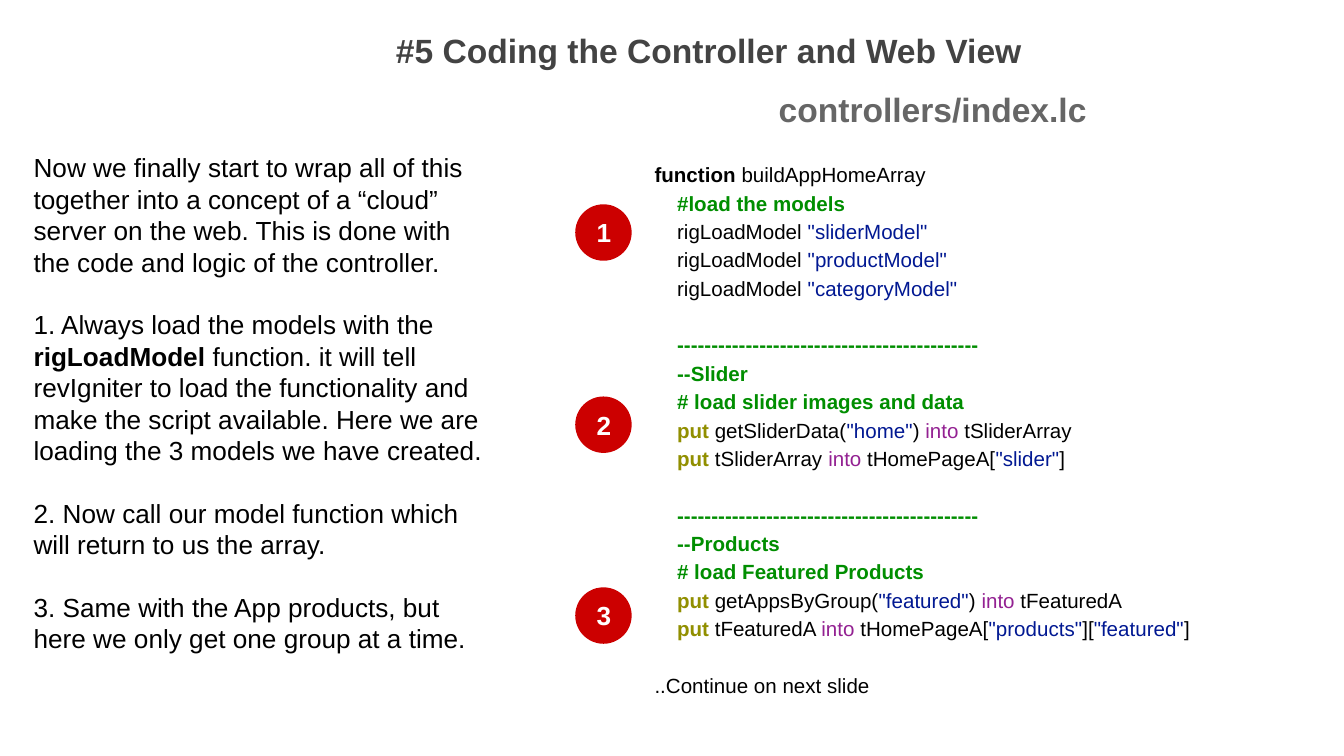
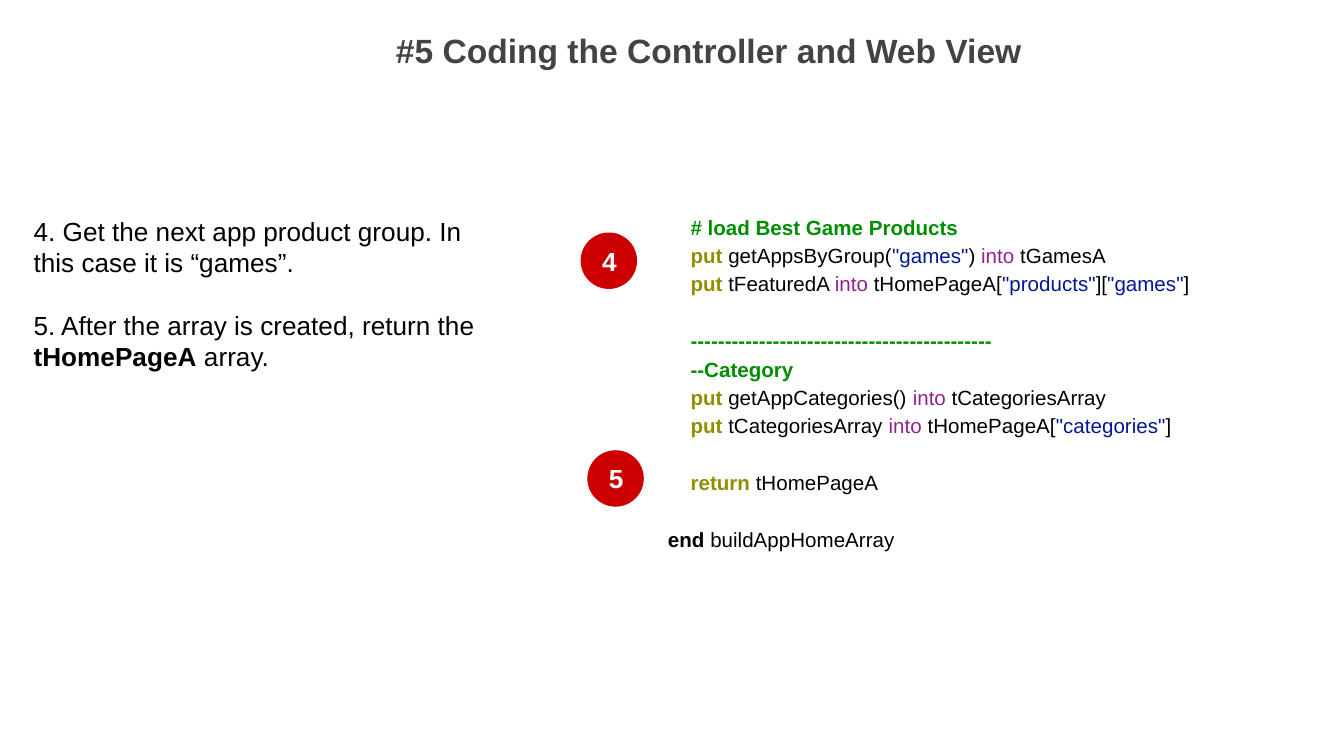
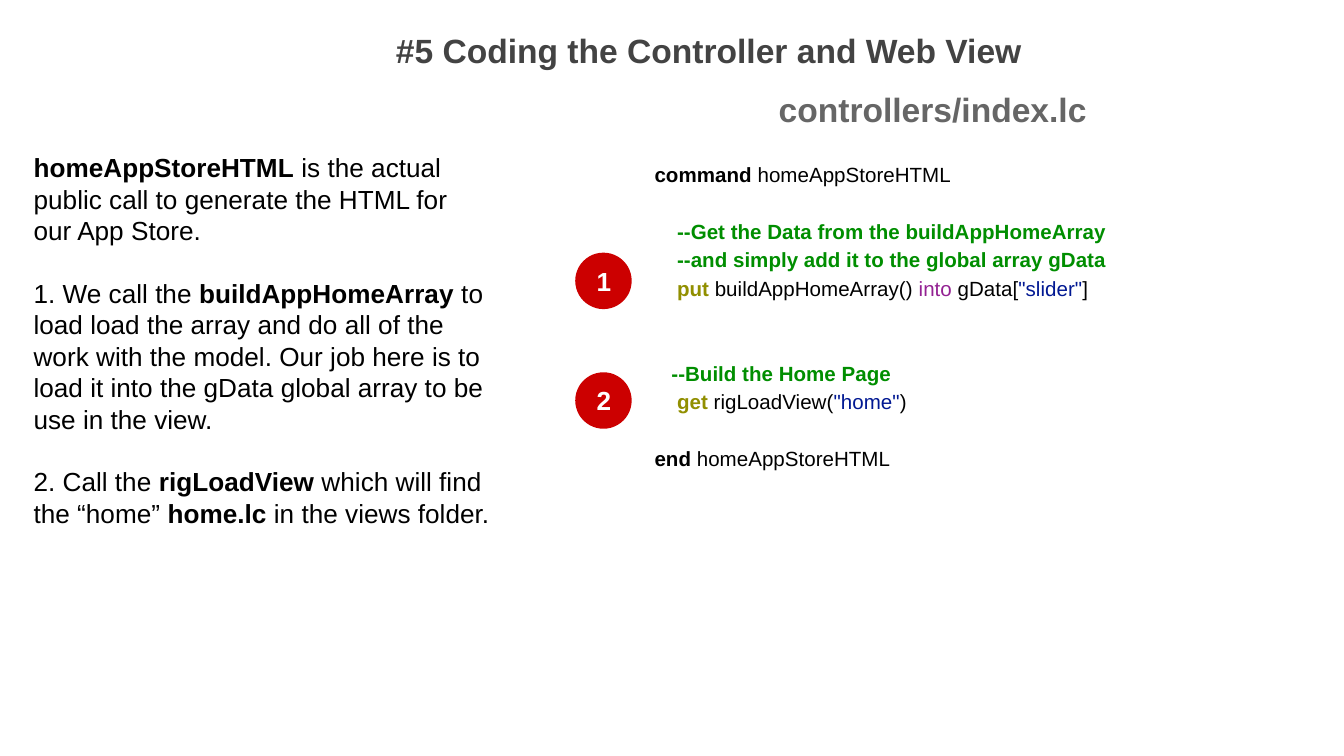
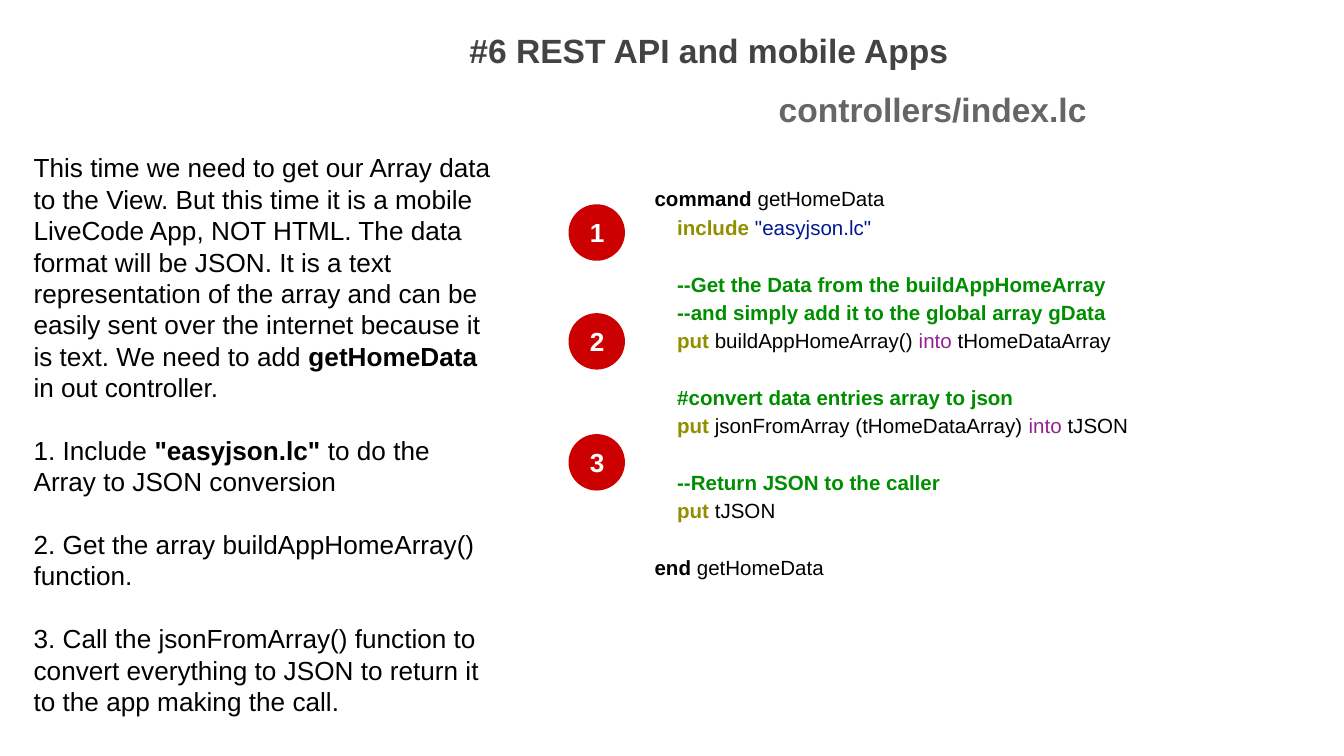
from pptx import Presentation
from pptx.dml.color import RGBColor
from pptx.enum.shapes import MSO_SHAPE
from pptx.enum.text import MSO_ANCHOR, MSO_AUTO_SIZE, PP_ALIGN
from pptx.oxml.ns import qn
from pptx.util import Inches, Pt

BLACK = RGBColor(0x00, 0x00, 0x00)
WHITE = RGBColor(0xFF, 0xFF, 0xFF)
DARK_GRAY = RGBColor(0x43, 0x43, 0x43)
GRAY = RGBColor(0x66, 0x66, 0x66)
RED = RGBColor(0xCC, 0x00, 0x00)
GREEN = RGBColor(0x00, 0x8E, 0x00)
BLUE = RGBColor(0x01, 0x18, 0x92)
OLIVE = RGBColor(0x91, 0x8F, 0x00)
PURPLE = RGBColor(0x93, 0x21, 0x92)

FONT = "Arial"
TITLE_SIZE, PROSE_SIZE, CODE_SIZE = 18, 14, 11
PROSE_LINE, CODE_LINE = 16.8, 15.18  # line heights in points
SPACE = 0.042                        # width of one code space in inches
BADGE = 0.42
PATH_LABEL = "controllers/index.lc"
KEYWORDS = {word: (BLACK, True) for word in ("function", "command", "end")}
KEYWORDS |= {word: (OLIVE, True) for word in ("put", "get", "return", "include")}

CODING_TITLE = "#5 Coding the Controller and Web View"
RULE = "-" * 44

# Content: ** marks bold prose, code is coloured by its own syntax
SLIDES = [
    {
        "title": CODING_TITLE, "path_label": True,
        "prose_lead": 0, "code_left": 4.77, "code_lead": 0,
        "badges": [("1", 4.28, 1.52), ("2", 4.28, 2.95), ("3", 4.28, 4.37)],
        "prose": [
            "Now we finally start to wrap all of this together into a concept of a “cloud” "
            "server on the web. This is done with the code and logic of the controller.",
            "1. Always load the models with the **rigLoadModel** function. it will tell "
            "revIgniter to load the functionality and make the script available. Here we are "
            "loading the 3 models we have created.",
            "2. Now call our model function which will return to us the array.",
            "3. Same with the App products, but here we only get one group at a time.",
        ],
        "code": f"""function buildAppHomeArray
    #load the models
    rigLoadModel "sliderModel"
    rigLoadModel "productModel"
    rigLoadModel "categoryModel"

    {RULE}
    --Slider
    # load slider images and data
    put getSliderData("home") into tSliderArray
    put tSliderArray into tHomePageA["slider"]

    {RULE}
    --Products
    # load Featured Products
    put getAppsByGroup("featured") into tFeaturedA
    put tFeaturedA into tHomePageA["products"]["featured"]

..Continue on next slide""",
    },
    {
        "title": CODING_TITLE, "path_label": False,
        "prose_lead": 0.47, "code_left": 4.87, "code_lead": 0.39,
        "badges": [("4", 4.32, 1.73), ("5", 4.37, 3.35)],
        "prose": [
            "4. Get the next app product group. In this case it is “games”.",
            "5. After the array is created, return the **tHomePageA** array.",
        ],
        "code": f"""    # load Best Game Products
    put getAppsByGroup("games") into tGamesA
    put tFeaturedA into tHomePageA["products"]["games"]

    {RULE}
    --Category
    put getAppCategories() into tCategoriesArray
    put tCategoriesArray into tHomePageA["categories"]

    return tHomePageA

end buildAppHomeArray""",
    },
    {
        "title": CODING_TITLE, "path_label": True,
        "prose_lead": 0, "code_left": 4.77, "code_lead": 0,
        "badges": [("1", 4.28, 1.88), ("2", 4.28, 2.77)],
        "prose": [
            "**homeAppStoreHTML** is the actual public call to generate the HTML for our "
            "App Store.",
            "1. We call the **buildAppHomeArray** to load load the array and do all of the "
            "work with the model. Our job here is to load it into the gData global array to "
            "be use in the view.",
            "2. Call the **rigLoadView** which will find the “home” **home.lc** in the views "
            "folder.",
        ],
        "code": """command homeAppStoreHTML

    --Get the Data from the buildAppHomeArray
    --and simply add it to the global array gData
    put buildAppHomeArray() into gData["slider"]


   --Build the Home Page
    get rigLoadView("home")

end homeAppStoreHTML""",
    },
    {
        "title": "#6 REST API and mobile Apps", "path_label": True,
        "prose_lead": 0, "code_left": 4.77, "code_lead": 0.18,
        "badges": [("1", 4.23, 1.52), ("2", 4.23, 2.33), ("3", 4.23, 3.23)],
        "prose": [
            "This time we need to get our Array data to the View. But this time it is a mobile "
            "LiveCode App, NOT HTML. The data format will be JSON. It is a text representation "
            "of the array and can be easily sent over the internet because it is text. We need "
            "to add **getHomeData** in out controller.",
            '1. Include **"easyjson.lc"** to do the Array to JSON conversion',
            "2. Get the array buildAppHomeArray() function.",
            "3. Call the jsonFromArray() function to convert everything to JSON to return it "
            "to the app making the call.",
        ],
        "code": """command getHomeData
    include "easyjson.lc"

    --Get the Data from the buildAppHomeArray
    --and simply add it to the global array gData
    put buildAppHomeArray() into tHomeDataArray

    #convert data entries array to json
    put jsonFromArray (tHomeDataArray) into tJSON

    --Return JSON to the caller
    put tJSON

end getHomeData""",
    },
]


def code_runs(line):
    """Split a code line into (text, colour, bold) runs."""
    if line.startswith(("#", "--")):
        return [(line, GREEN, True)]
    first, gap, rest = line.partition(" ")
    runs = [(first, *KEYWORDS.get(first, (BLACK, False)))]
    for i, part in enumerate((gap + rest).split('"')):
        if i % 2:
            runs.append((f'"{part}"', BLUE, False))
        else:
            before, word, after = part.partition("into")
            runs += [(before, BLACK, False), (word, PURPLE, False), (after, BLACK, False)]
    return [run for run in runs if run[0]]


def add_paragraph(tf, first, runs, size, line, before=0, indent=0, align=PP_ALIGN.LEFT):
    p = tf.paragraphs[0] if first else tf.add_paragraph()
    fmt = {"alignment": align, "line_spacing": Pt(line), "space_before": Pt(before),
           "space_after": Pt(0)}
    for name, value in fmt.items():
        setattr(p, name, value)
    pPr = p._p.get_or_add_pPr()
    pPr.set("marL", str(Inches(indent)))
    pPr.set("indent", "0")
    pPr.append(pPr.makeelement(qn("a:buNone"), {}))
    for text, color, bold in runs:
        r = p.add_run()
        r.text = text
        for name, value in {"name": FONT, "size": Pt(size), "bold": bold}.items():
            setattr(r.font, name, value)
        r.font.color.rgb = color


prs = Presentation()
prs.slide_width = Inches(10)
prs.slide_height = prs.slide_width * 9 // 16
layout = prs.slide_layouts[3]  # title and two content areas

for content in SLIDES:
    s = prs.slides.add_slide(layout)
    title, prose, code = s.placeholders
    boxes = [(title, 0.77, 0.12, 9.01, 0.71, 0),
             (prose, 0.15, 1.03, 3.61, 4.33, content["prose_lead"]),
             (code, content["code_left"], 1.08, 9.89 - content["code_left"], 4.33,
              content["code_lead"])]
    headings = [(title, content["title"], DARK_GRAY)]
    if content["path_label"]:
        label = s.shapes.add_textbox(0, 0, 0, 0)
        boxes.append((label, 4.77, 0.56, 4.34, 0.58, 0))
        headings.append((label, PATH_LABEL, GRAY))

    # Text frames
    for sp, left, top, width, height, lead in boxes:
        sp.left, sp.top, sp.width, sp.height = map(Inches, (left, top, width, height))
        fmt = {"word_wrap": True, "auto_size": MSO_AUTO_SIZE.NONE,
               "vertical_anchor": MSO_ANCHOR.TOP, "margin_left": Inches(0.1),
               "margin_right": Inches(0.1), "margin_top": Inches(0.1 + lead),
               "margin_bottom": Inches(0.1)}
        for name, value in fmt.items():
            setattr(sp.text_frame, name, value)

    # Title and path label
    for sp, text, color in headings:
        add_paragraph(sp.text_frame, True, [(text, color, True)], TITLE_SIZE, 21.6,
                      align=PP_ALIGN.CENTER)

    # Explanation, one empty line between paragraphs
    for i, text in enumerate(content["prose"]):
        runs = [(part, BLACK, j % 2 == 1) for j, part in enumerate(text.split("**")) if part]
        add_paragraph(prose.text_frame, i == 0, runs, PROSE_SIZE, PROSE_LINE,
                      before=PROSE_LINE if i else 0)

    # Code listing, empty lines become space before the next line
    blanks = 0
    for i, line in enumerate(content["code"].splitlines()):
        text = line.lstrip()
        if not text:
            blanks += 1
            continue
        add_paragraph(code.text_frame, i == 0, code_runs(text), CODE_SIZE, CODE_LINE,
                      before=blanks * CODE_LINE, indent=(len(line) - len(text)) * SPACE)
        blanks = 0

    # Numbered badges
    for number, left, top in content["badges"]:
        sp = s.shapes.add_shape(MSO_SHAPE.OVAL, Inches(left), Inches(top),
                                Inches(BADGE), Inches(BADGE))
        sp.shadow.inherit = False
        sp.fill.solid()
        sp.fill.fore_color.rgb = RED
        sp.line.fill.background()
        sp.text_frame.vertical_anchor = MSO_ANCHOR.MIDDLE
        add_paragraph(sp.text_frame, True, [(number, WHITE, True)], PROSE_SIZE, PROSE_LINE,
                      align=PP_ALIGN.CENTER)

prs.save("out.pptx")
